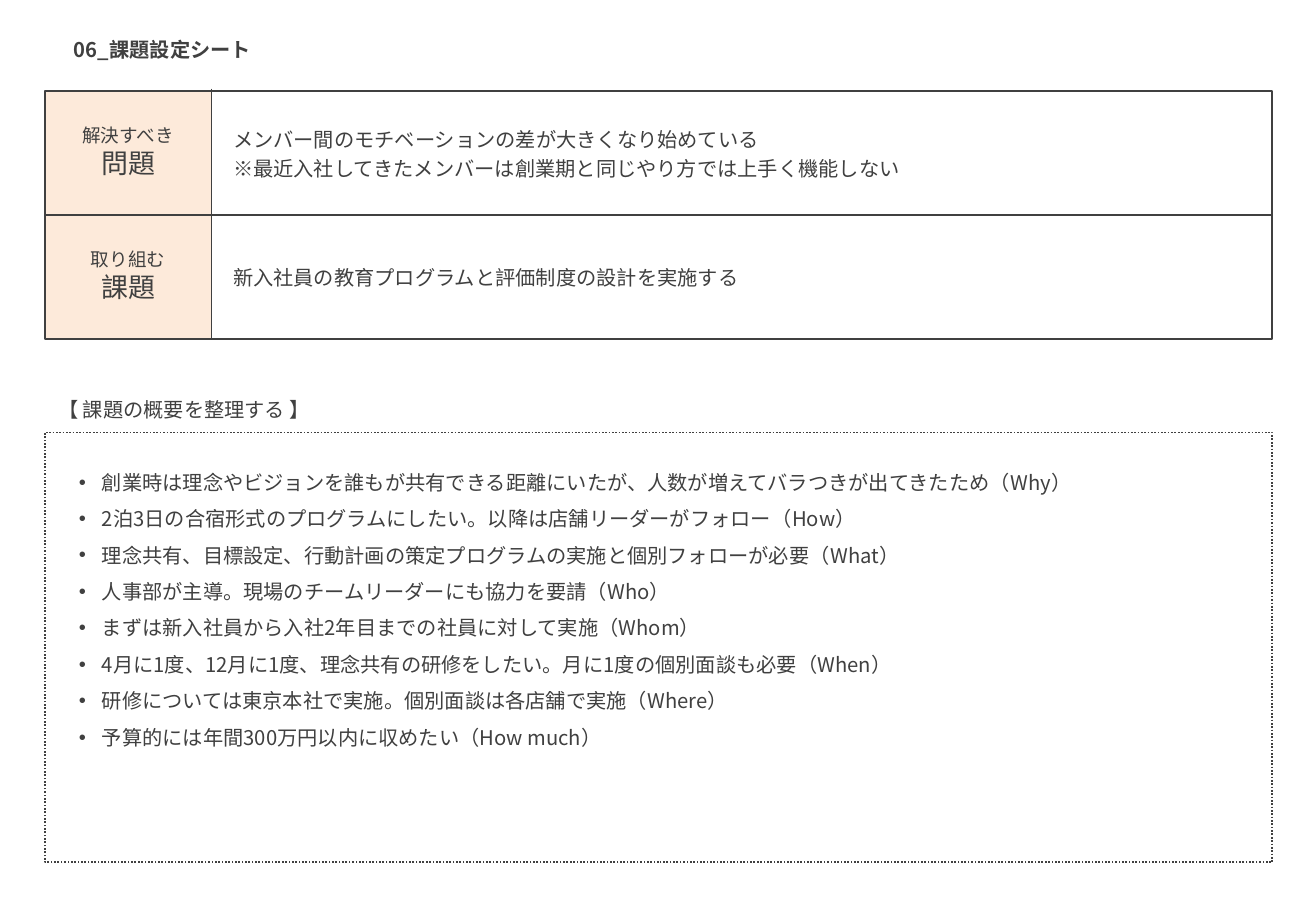
from dataclasses import dataclass

from lxml.etree import SubElement
from pptx import Presentation
from pptx.dml.color import RGBColor
from pptx.enum.dml import MSO_LINE
from pptx.enum.shapes import MSO_CONNECTOR, MSO_SHAPE
from pptx.enum.text import MSO_ANCHOR, MSO_AUTO_SIZE, PP_ALIGN
from pptx.oxml.ns import qn
from pptx.util import Inches, Pt


@dataclass(frozen=True)
class Theme:
    font: str = "Noto Sans CJK JP"
    ink: RGBColor = RGBColor.from_string("404040")
    label_fill: RGBColor = RGBColor.from_string("FDEADA")
    caption: int = 11
    body: int = 12
    keyword: int = 16
    thin: float = 1
    thick: float = 1.5


@dataclass(frozen=True)
class Box:
    """An area counted in grid columns and rows."""
    left: float
    top: float
    width: float
    height: float

    def inner(self, left, top, width, height):
        return Box(self.left + left, self.top + top, width, height)

    def lengths(self):
        return [grid(value) for value in (self.left, self.top, self.width, self.height)]


THEME = Theme()
SLIDE_WIDTH, SLIDE_HEIGHT = Inches(10.83), Inches(7.5)
ROWS = 75  # square grid cells
LABEL_WIDTH = 13.7

ISSUES = [
    ("解決すべき", "問題", ["メンバー間のモチベーションの差が大きくなり始めている",
                    "※最近入社してきたメンバーは創業期と同じやり方では上手く機能しない"]),
    ("取り組む", "課題", ["新入社員の教育プログラムと評価制度の設計を実施する"]),
]
OUTLINE = [
    "創業時は理念やビジョンを誰もが共有できる距離にいたが、人数が増えてバラつきが出てきたため（Why）",
    "2泊3日の合宿形式のプログラムにしたい。以降は店舗リーダーがフォロー（How）",
    "理念共有、目標設定、行動計画の策定プログラムの実施と個別フォローが必要（What）",
    "人事部が主導。現場のチームリーダーにも協力を要請（Who）",
    "まずは新入社員から入社2年目までの社員に対して実施（Whom）",
    "4月に1度、12月に1度、理念共有の研修をしたい。月に1度の個別面談も必要（When）",
    "研修については東京本社で実施。個別面談は各店舗で実施（Where）",
    "予算的には年間300万円以内に収めたい（How much）",
]


def grid(cells):
    return int(cells * SLIDE_HEIGHT / ROWS)


def set_all(target, **values):
    for name, value in values.items():
        setattr(target, name, value)


def add_bullet(paragraph):
    properties = paragraph._p.get_or_add_pPr()
    indent = Inches(0.19)
    properties.set("marL", str(indent))
    properties.set("indent", str(-indent))
    SubElement(properties, qn("a:buFont"), typeface="Arial")
    SubElement(properties, qn("a:buChar"), char="•")


def add_text(slide, box, lines, sizes=None, bold=False, wrap=True, bullet=False,
             anchor=MSO_ANCHOR.TOP, **paragraph_format):
    frame = slide.shapes.add_textbox(*box.lengths()).text_frame
    set_all(frame, word_wrap=wrap, auto_size=MSO_AUTO_SIZE.SHAPE_TO_FIT_TEXT,
            vertical_anchor=anchor)
    for index, line in enumerate(lines):
        paragraph = frame.add_paragraph() if index else frame.paragraphs[0]
        set_all(paragraph, **paragraph_format)
        if bullet:
            add_bullet(paragraph)
        run = paragraph.add_run()
        run.text = line
        size = sizes[index] if sizes else THEME.body
        set_all(run.font, name=THEME.font, size=Pt(size), bold=bold)
        run.font.color.rgb = THEME.ink
        SubElement(run.font._element, qn("a:ea"), typeface=THEME.font)


def draw_line(line, width, dash=None):
    line.color.rgb = THEME.ink
    set_all(line, width=Pt(width), dash_style=dash)


def add_rectangle(slide, box, fill=None, width=None, dash=None):
    shape = slide.shapes.add_shape(MSO_SHAPE.RECTANGLE, *box.lengths())
    shape.shadow.inherit = False
    if fill is None:
        shape.fill.background()
    else:
        shape.fill.solid()
        shape.fill.fore_color.rgb = fill
    if width is None:
        shape.line.fill.background()
    else:
        draw_line(shape.line, width, dash)
    return shape


def add_rule(slide, *ends):
    rule = slide.shapes.add_connector(MSO_CONNECTOR.STRAIGHT, *map(grid, ends))
    draw_line(rule.line, THEME.thin)
    SubElement(rule._element.spPr, qn("a:effectLst"))
    return rule


def add_issue_sheet(slide, box):
    row_height = box.height / len(ISSUES)
    right, bottom = box.left + box.width, box.top + box.height
    # Label column, outer frame and dividers
    add_rectangle(slide, box.inner(0, 0, LABEL_WIDTH, box.height), THEME.label_fill)
    frame = add_rectangle(slide, box, width=THEME.thick)
    middle = box.top + row_height
    row_rule = add_rule(slide, box.left, middle, right, middle)
    row_rule.begin_connect(frame, 1)
    row_rule.end_connect(frame, 3)
    column = box.left + LABEL_WIDTH
    add_rule(slide, column, box.top - 0.2, column, bottom)
    # Label and content of each row
    for index, (caption, keyword, content) in enumerate(ISSUES):
        top = index * row_height
        add_text(slide, box.inner(0, top + 2.25, LABEL_WIDTH, 5.6), [caption, keyword],
                 sizes=[THEME.caption, THEME.keyword], alignment=PP_ALIGN.CENTER)
        add_text(slide, box.inner(LABEL_WIDTH + 0.8, top + 2, 85.6, 5.9), content,
                 anchor=MSO_ANCHOR.MIDDLE, line_spacing=1.2)


def add_outline(slide, box):
    # Heading above the dotted frame
    add_text(slide, box.inner(0.1, -3.8, 67.2, 3.4), ["【 課題の概要を整理する 】"], line_spacing=1.2)
    add_rectangle(slide, box, width=THEME.thin, dash=MSO_LINE.ROUND_DOT)
    add_text(slide, box.inner(1.8, 1.6, 97.2, 25.2), OUTLINE, bullet=True, line_spacing=1.5)


def main():
    presentation = Presentation()
    set_all(presentation, slide_width=SLIDE_WIDTH, slide_height=SLIDE_HEIGHT)
    slide = presentation.slides.add_slide(presentation.slide_layouts[6])
    add_text(slide, Box(5.1, 2.6, 17.2, 3), ["06_課題設定シート"], bold=True, wrap=False)
    add_issue_sheet(slide, Box(3.7, 7.5, 101, 20.4))
    add_outline(slide, Box(3.7, 35.6, 101, 35.4))
    presentation.save("out.pptx")


if __name__ == "__main__":
    main()
